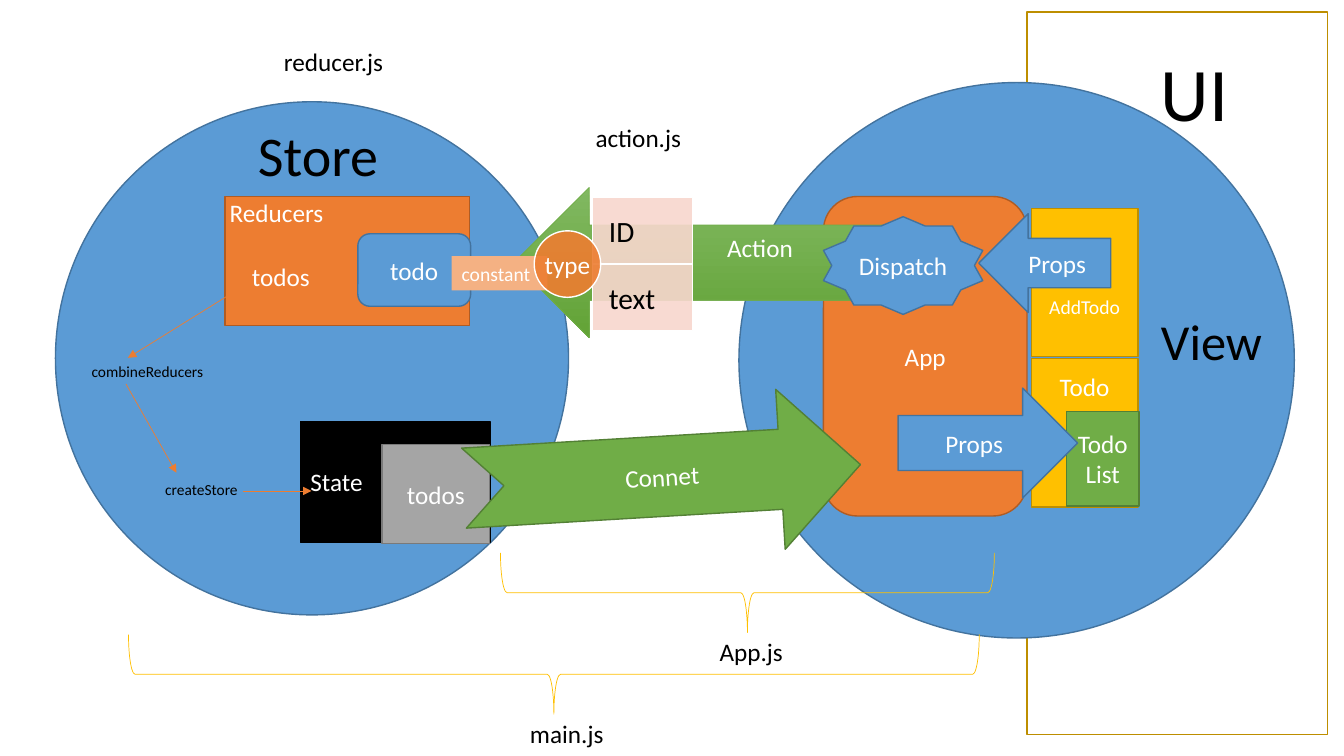
from lxml.etree import SubElement
from pptx import Presentation
from pptx.dml.color import RGBColor
from pptx.enum.shapes import MSO_CONNECTOR, MSO_SHAPE
from pptx.enum.text import MSO_ANCHOR, PP_ALIGN
from pptx.oxml.ns import qn
from pptx.util import Pt

BLUE, BLUE_EDGE = "5B9BD5", "43739E"
ORANGE, ORANGE_EDGE = "ED7D31", "AF5C24"
GOLD, GOLD_EDGE = "FFC000", "BD8E00"
GREEN, GREEN_EDGE = "70AD47", "538035"
WHITE, BLACK = "FFFFFF", "000000"
INSETS = (7.2, 3.6, 7.2, 3.6)  # left, top, right, bottom


def color(hex_code):
    return RGBColor.from_string(hex_code)


def write(holder, text, size, ink, align, anchor, insets):
    frame = holder.text_frame
    frame.word_wrap = True
    frame.vertical_anchor = anchor
    (frame.margin_left, frame.margin_top,
     frame.margin_right, frame.margin_bottom) = map(Pt, insets)
    paragraph = frame.paragraphs[0]
    paragraph.alignment = align
    run = paragraph.add_run()
    run.text = text
    run.font.name = "Calibri"
    run.font.size = Pt(size)
    run.font.color.rgb = color(ink)


def label(slide, x, y, width, height, text, size, ink=BLACK):
    holder = slide.shapes.add_textbox(Pt(x), Pt(y), Pt(width), Pt(height))
    write(holder, text, size, ink, PP_ALIGN.LEFT, MSO_ANCHOR.TOP, INSETS)


def block(slide, kind, x, y, width, height, fill, edge, text="", size=18,
          ink=WHITE, align=PP_ALIGN.CENTER, insets=INSETS, opacity=None, weight=1):
    part = slide.shapes.add_shape(kind, Pt(x), Pt(y), Pt(width), Pt(height))
    part.shadow.inherit = False
    if fill:
        part.fill.solid()
        part.fill.fore_color.rgb = color(fill)
    else:
        part.fill.background()
    if opacity:
        tint = part.fill._xPr.find(qn("a:solidFill"))[0]
        SubElement(tint, qn("a:alpha"), val=str(opacity * 1000))
    if edge:
        part.line.color.rgb = color(edge)
        part.line.width = Pt(weight)
    else:
        part.line.fill.background()
    if text:
        write(part, text, size, ink, align, MSO_ANCHOR.MIDDLE, insets)
    return part


def thin_arrow(slide, x1, y1, x2, y2):
    arrow = slide.shapes.add_connector(
        MSO_CONNECTOR.STRAIGHT, Pt(x1), Pt(y1), Pt(x2), Pt(y2))
    arrow.line.color.rgb = color(ORANGE)
    arrow.line.width = Pt(0.5)
    SubElement(arrow.line._get_or_add_ln(), qn("a:tailEnd"), type="triangle")
    SubElement(arrow._element.spPr, qn("a:effectLst"))


def draw_ui_frame(slide, x, y, width, height):
    block(slide, MSO_SHAPE.RECTANGLE, x, y, width, height, WHITE, GOLD_EDGE)


def draw_store(slide, x, y, diameter):
    block(slide, MSO_SHAPE.OVAL, x, y, diameter, diameter, BLUE, BLUE_EDGE)
    label(slide, x + 137.5, y + 10, 118.8, 55.4, "Store", 40)
    # Reducers
    block(slide, MSO_SHAPE.RECTANGLE, x + 121, y + 67.7, 175, 92.2, ORANGE, ORANGE_EDGE,
          "todos", align=PP_ALIGN.LEFT, insets=(19.4, 25.6, 7.2, 3.6))
    block(slide, MSO_SHAPE.ROUNDED_RECTANGLE, x + 216, y + 94.3, 80.6, 51.8,
          BLUE, BLUE_EDGE, "todo")
    label(slide, x + 117.4, y + 64.8, 87.8, 28.8, "Reducers", 18, WHITE)
    # State
    block(slide, MSO_SHAPE.RECTANGLE, x + 175, y + 228.3, 135.4, 86.4, BLACK, BLACK,
          "State", align=PP_ALIGN.LEFT)
    block(slide, MSO_SHAPE.RECTANGLE, x + 233.3, y + 244.8, 77, 70.6,
          "A5A5A5", "7A7A7A", "todos")
    # Path from the reducers to the state
    for x1, y1, x2, y2 in ((128.2, 135.4, 51.8, 182.9),
                           (50.4, 201.6, 86.4, 265),
                           (133.9, 278, 182.9, 278)):
        thin_arrow(slide, x + x1, y + y1, x + x2, y + y2)
    label(slide, x + 18.7, y + 182.2, 352.8, 20.9, "combineReducers", 11)
    label(slide, x + 71.3, y + 266.4, 72.7, 20.9, "createStore", 11)


def draw_view(slide, x, y, diameter):
    block(slide, MSO_SHAPE.FLOWCHART_CONNECTOR, x, y, diameter, diameter, BLUE, BLUE_EDGE)
    block(slide, MSO_SHAPE.ROUNDED_RECTANGLE, x + 60.4, y + 81.4, 145.4, 228.2,
          ORANGE, ORANGE_EDGE, "App")
    label(slide, x + 294.4, y + 159.2, 131.8, 51.1, "View", 36)
    label(slide, x + 294.4, y - 29.5, 88.6, 72.7, "UI", 54)


def draw_action(slide, x, y, width, height):
    arrow = block(slide, MSO_SHAPE.LEFT_ARROW, x, y, width, height, GREEN, GREEN,
                  "Action", align=PP_ALIGN.LEFT, insets=(125.3, 3.6, 7.2, 25.6),
                  weight=0.5)
    arrow.fill.gradient()
    arrow.fill.gradient_angle = 270
    for stop, shade in zip(arrow.fill.gradient_stops, ("81B861", "62A336")):
        stop.color.rgb = color(shade)
    block(slide, MSO_SHAPE.RECTANGLE, x - 44.6, y + 49, 68.4, 24.5, "F4B183", None,
          "constant", size=14, align=PP_ALIGN.LEFT)
    # Fields and type of the action
    field_height = 47.5
    for row, field in enumerate(("ID", "text")):
        block(slide, MSO_SHAPE.RECTANGLE, x + 56.2, y + 7.2 + row * field_height,
              71.3, field_height, "F8D7CE", WHITE, field, size=21, ink=BLACK,
              align=PP_ALIGN.LEFT, insets=(11.5, 0, 0, 0), opacity=90)
    type_badge = block(slide, MSO_SHAPE.OVAL, x + 14.4, y + 31, 47.5, 47.5, ORANGE, WHITE,
                       "type", insets=(0, 0, 0, 0), opacity=90)
    type_badge.text_frame.word_wrap = False


def draw_components(slide, x, y):
    # Presentational components
    for row, (component, size, insets) in enumerate((
            ("AddTodo", 14, (7.2, 37.8, 7.2, 3.6)),
            ("Todo", 18, (7.2, 3.6, 7.2, 69.5)))):
        block(slide, MSO_SHAPE.RECTANGLE, x + 148.4, y + 8.6 + row * 107.3, 76.3, 105.8,
              GOLD, GOLD_EDGE, component, size=size, insets=insets)
    block(slide, MSO_SHAPE.RECTANGLE, x + 173.6, y + 153.4, 51.8, 67.7,
          GREEN, GREEN_EDGE, "TodoList")
    # Messages between the app and its components
    for kind, dx, dy, width, height, message in (
            (MSO_SHAPE.STAR_10_POINT, 0, 14.4, 113.8, 69.8, "Dispatch"),
            (MSO_SHAPE.RIGHT_ARROW, 53.3, 136.8, 128.2, 78.5, "Props"),
            (MSO_SHAPE.LEFT_ARROW, 110.9, 12.2, 94.3, 70.6, "Props")):
        block(slide, kind, x + dx, y + dy, width, height, BLUE, BLUE_EDGE, message)


def draw_connect(slide, x, y, width, height):
    connect = block(slide, MSO_SHAPE.NOTCHED_RIGHT_ARROW, x, y, width, height,
                    GREEN, GREEN_EDGE, "Connet")
    connect.rotation = 356.6


def draw_file_span(slide, x, y, width, height, file_name, label_x):
    # The upright brace is turned a quarter about the centre of the box
    brace = block(slide, MSO_SHAPE.LEFT_BRACE, x + (width - height) / 2,
                  y + (height - width) / 2, height, width, None, GOLD, weight=0.5)
    brace.rotation = 270
    label(slide, label_x, y + 56.2, 125.3, 28.8, file_name, 18)


def main():
    deck = Presentation()
    deck.slide_width, deck.slide_height = Pt(960), Pt(540)
    slide = deck.slides.add_slide(deck.slide_layouts[6])

    draw_ui_frame(slide, 733.7, 8.6, 214.6, 516.2)
    draw_view(slide, 527.8, 59, 396.7)
    draw_store(slide, 39.6, 72.7, 366.5)
    draw_action(slide, 367.2, 133.9, 274.3, 107.3)
    draw_components(slide, 588.2, 140.4)
    draw_connect(slide, 331.2, 283, 283.7, 114.5)

    # Source files
    label(slide, 418.3, 83.5, 125.3, 28.8, "action.js", 18)
    label(slide, 195.8, 29.5, 125.3, 28.8, "reducer.js", 18)
    draw_file_span(slide, 357.5, 394.9, 352.8, 56.9, "App.js", 506.9)
    draw_file_span(slide, 91.8, 453.2, 607.7, 56.9, "main.js", 371.5)

    deck.save("out.pptx")


if __name__ == "__main__":
    main()
